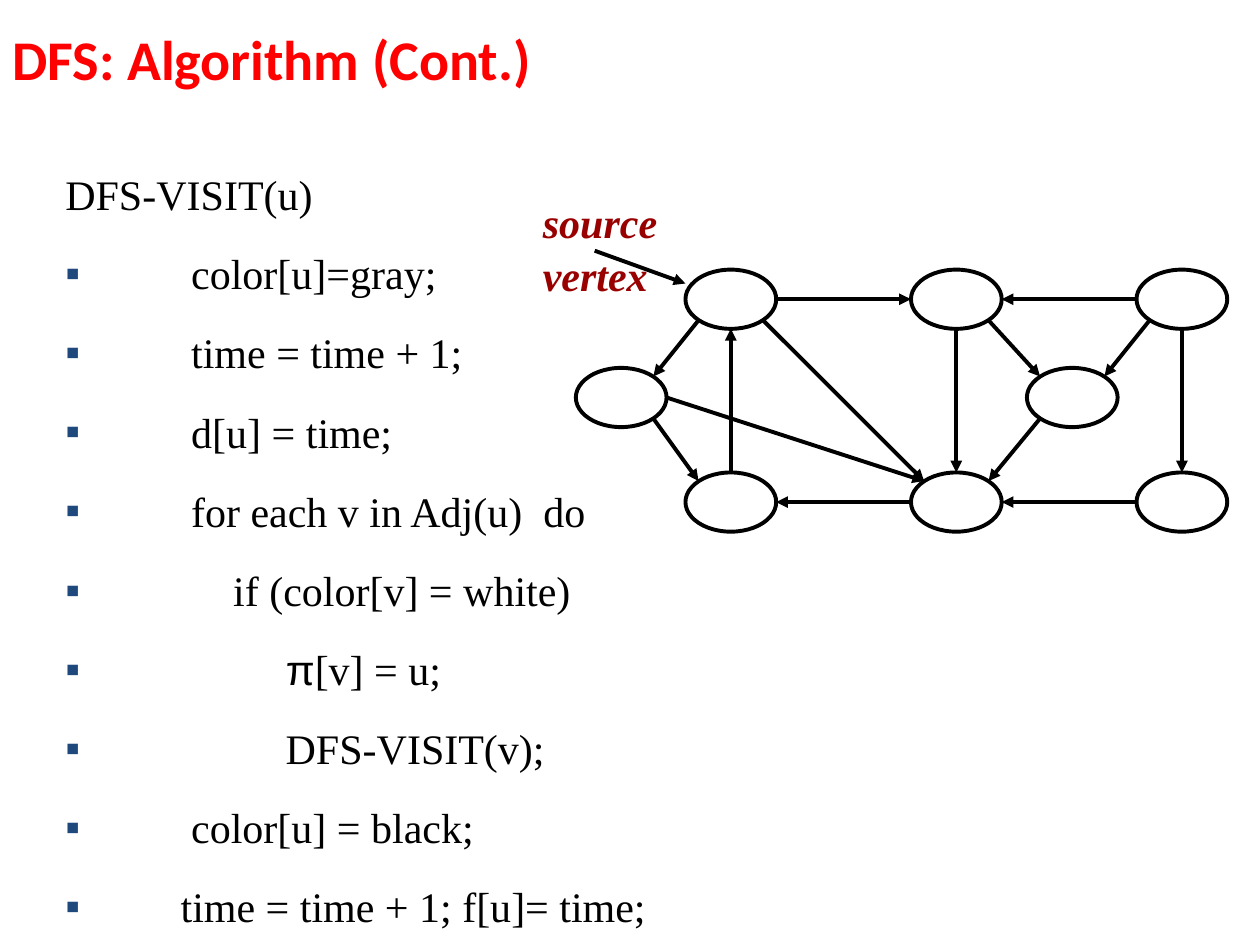
import lxml.etree
import pptx
import pptx.dml.color
import pptx.enum.shapes
import pptx.enum.text
import pptx.oxml.ns
import pptx.util

Inches = pptx.util.Inches
Pt = pptx.util.Pt
SERIF = "Times New Roman"
BLACK = "000000"
LINE_SPACING = 1.05

CODE_LINES = [
    [("DFS-VISIT(u)", SERIF)],
    [("      color[u]=gray;", SERIF)],
    [("      time = time + 1;", SERIF)],
    [("      d[u] = time;", SERIF)],
    [("      for each v in Adj(u)  do", SERIF)],
    [("          if (color[v] = white)", SERIF)],
    [("               ", SERIF), ("π", "Arial"), ("[v] = u;", SERIF)],
    [("               DFS-VISIT(v);", SERIF)],
    [("      color[u] = black;", SERIF)],
    [("     time = time + 1; f[u]= time;", SERIF)],
]

NODE_WIDTH, NODE_HEIGHT = 0.72, 0.47
NODES = {
    "top left": (1.23, 0.65),
    "top middle": (3.02, 0.65),
    "top right": (4.81, 0.65),
    "bottom right": (4.81, 2.26),
    "bottom middle": (3.02, 2.26),
    "bottom left": (1.23, 2.26),
    "inner left": (0.36, 1.43),
    "inner right": (3.94, 1.43),
}
COMPASS = {
    "N": (0, -1), "S": (0, 1), "W": (-1, 0), "E": (1, 0),
    "NW": (-0.71, -0.71), "NE": (0.71, -0.71),
    "SW": (-0.71, 0.71), "SE": (0.71, 0.71),
}
EDGES = [
    ("top left", "SW", "inner left", "NE"),
    ("inner left", "SE", "bottom left", "NW"),
    ("inner left", "E", "bottom middle", "NW"),
    ("bottom middle", "W", "bottom left", "E"),
    ("bottom left", "N", "top left", "S"),
    ("top left", "SE", "bottom middle", "NW"),
    ("top middle", "S", "bottom middle", "N"),
    ("top left", "E", "top middle", "W"),
    ("top right", "W", "top middle", "E"),
    ("top middle", "SE", "inner right", "NW"),
    ("top right", "SW", "inner right", "NE"),
    ("top right", "S", "bottom right", "N"),
    ("bottom right", "W", "bottom middle", "E"),
    ("inner right", "SW", "bottom middle", "NE"),
]


def color(value):
    """Return the colour for a hex string."""
    return pptx.dml.color.RGBColor.from_string(value)


def add_child(parent, tag, **attributes):
    """Append a DrawingML element to a parent element."""
    return lxml.etree.SubElement(parent, pptx.oxml.ns.qn(tag), attributes)


def add_run(paragraph, text, font_name, size, value, bold=False, italic=False):
    """Add one formatted run to a paragraph."""
    run = paragraph.add_run()
    run.text = text
    run.font.name = font_name
    run.font.size = Pt(size)
    run.font.bold = bold
    run.font.italic = italic
    run.font.color.rgb = color(value)


def add_text_frame(shapes, left, top, width, height, wrap=True, grow=False):
    """Add a text box and return its frame."""
    box = shapes.add_textbox(Inches(left), Inches(top), Inches(width), Inches(height))
    frame = box.text_frame
    frame.word_wrap = wrap
    if grow:
        frame.auto_size = pptx.enum.text.MSO_AUTO_SIZE.SHAPE_TO_FIT_TEXT
    return frame


def add_title(slide, left, top, width, height):
    """Place the slide title."""
    frame = add_text_frame(slide.shapes, left, top, width, height)
    frame.vertical_anchor = pptx.enum.text.MSO_ANCHOR.MIDDLE
    add_run(frame.paragraphs[0], "DFS: Algorithm (Cont.)", "Calibri", 32, "FF0000", bold=True)


def add_bullet(paragraph):
    """Give a paragraph a blue square bullet."""
    properties = paragraph._p.get_or_add_pPr()
    bullet_color = add_child(properties, "a:buClr")
    add_child(bullet_color, "a:srgbClr", val="1F497D")
    add_child(properties, "a:buFont", typeface="Arial")
    add_child(properties, "a:buChar", char="▪")


def add_code(slide, left, top, width, height):
    """Place the pseudocode, with a bullet on each line after the first."""
    frame = add_text_frame(slide.shapes, left, top, width, height, grow=True)
    for index, parts in enumerate(CODE_LINES):
        paragraph = frame.add_paragraph() if index else frame.paragraphs[0]
        properties = paragraph._p.get_or_add_pPr()
        properties.set("marL", str(Inches(0.5)))
        properties.set("indent", str(Inches(-0.5)))
        paragraph.line_spacing = LINE_SPACING
        if index:
            paragraph.space_before = Pt(15)
            add_bullet(paragraph)
        for text, font_name in parts:
            add_run(paragraph, text, font_name, 24, BLACK)


def add_node(group, left, top):
    """Add one empty graph vertex."""
    node = group.shapes.add_shape(
        pptx.enum.shapes.MSO_SHAPE.OVAL,
        Inches(left), Inches(top), Inches(NODE_WIDTH), Inches(NODE_HEIGHT))
    node.shadow.inherit = False
    node.fill.background()
    node.line.color.rgb = color(BLACK)
    node.line.width = Pt(2.25)


def add_arrow(group, start, end):
    """Add a straight arrow between two points."""
    arrow = group.shapes.add_connector(
        pptx.enum.shapes.MSO_CONNECTOR.STRAIGHT,
        *(Inches(length) for length in (*start, *end)))
    arrow.line.color.rgb = color(BLACK)
    arrow.line.width = Pt(2.25)
    add_child(arrow.line._get_or_add_ln(), "a:tailEnd", type="triangle")
    add_child(arrow._element.spPr, "a:effectLst")


def add_graph(slide, left, top):
    """Place the directed graph and its source label."""
    group = slide.shapes.add_group_shape()

    def rim(name, direction):
        """Return the point on a vertex outline in a compass direction."""
        x, y = NODES[name]
        across, down = COMPASS[direction]
        return (left + x + NODE_WIDTH / 2 * (1 + across),
                top + y + NODE_HEIGHT / 2 * (1 + down))

    for x, y in NODES.values():
        add_node(group, left + x, top + y)
    for origin, leaving, target, entering in EDGES:
        add_arrow(group, rim(origin, leaving), rim(target, entering))
    add_arrow(group, (left + 0.51, top + 0.5), (left + 1.23, top + 0.76))

    frame = add_text_frame(group.shapes, left, top, 1.11, 0.9, wrap=False, grow=True)
    paragraph = frame.paragraphs[0]
    paragraph.line_spacing = LINE_SPACING
    add_run(paragraph, "source", SERIF, 24, "990000", bold=True, italic=True)
    paragraph.add_line_break()
    add_run(paragraph, "vertex", SERIF, 24, "990000", bold=True, italic=True)


def main():
    """Build and save the presentation."""
    presentation = pptx.Presentation()
    presentation.slide_width = Inches(10)
    presentation.slide_height = Inches(7.5)
    slide = presentation.slides.add_slide(presentation.slide_layouts[6])
    add_code(slide, 0.42, 1.27, 8.33, 5.98)
    add_title(slide, 0, 0, 8.5, 0.92)
    add_graph(slide, 4.21, 1.49)
    presentation.save("out.pptx")


if __name__ == "__main__":
    main()
